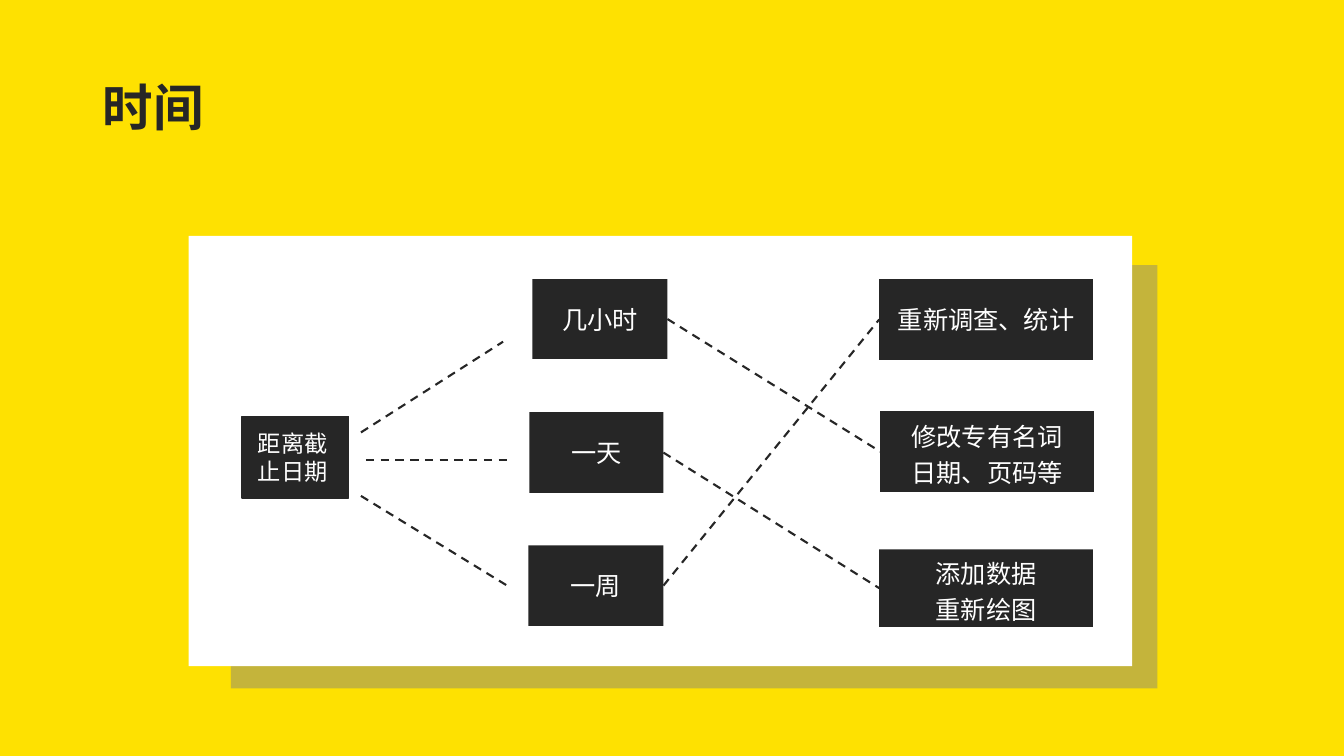
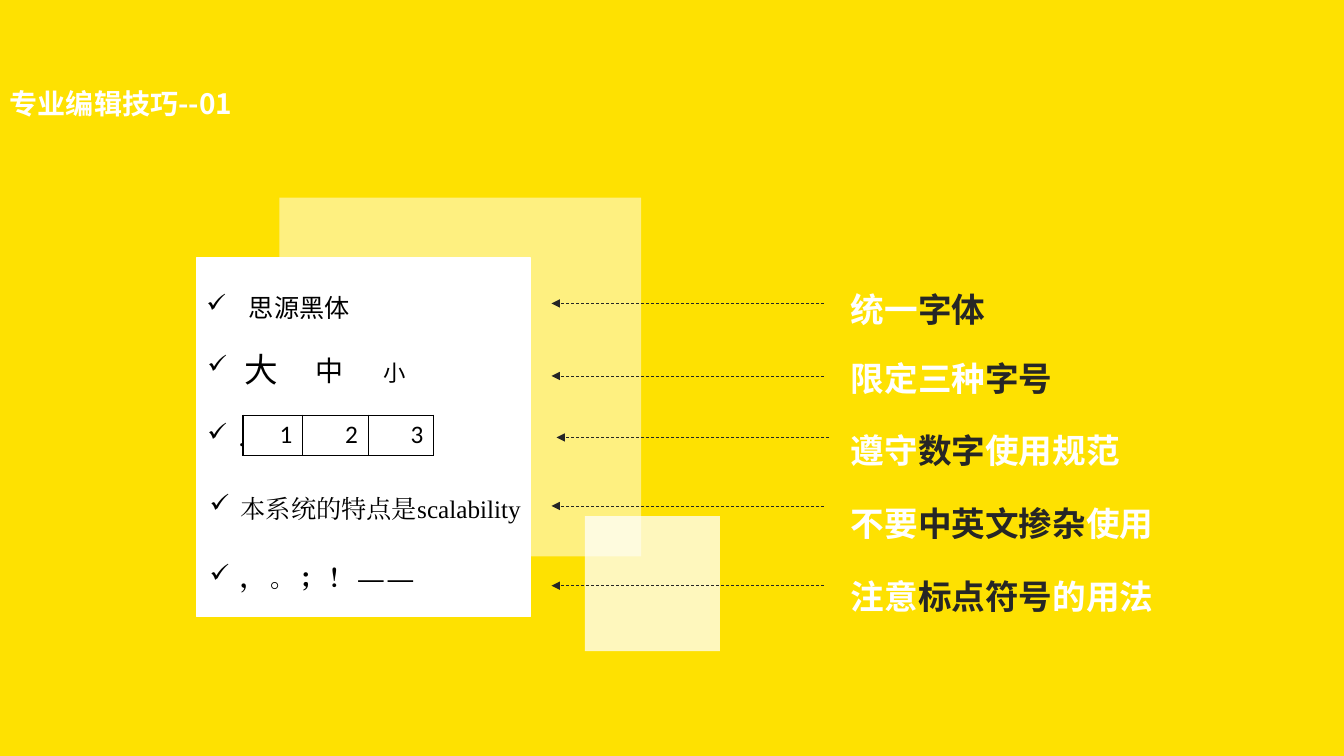
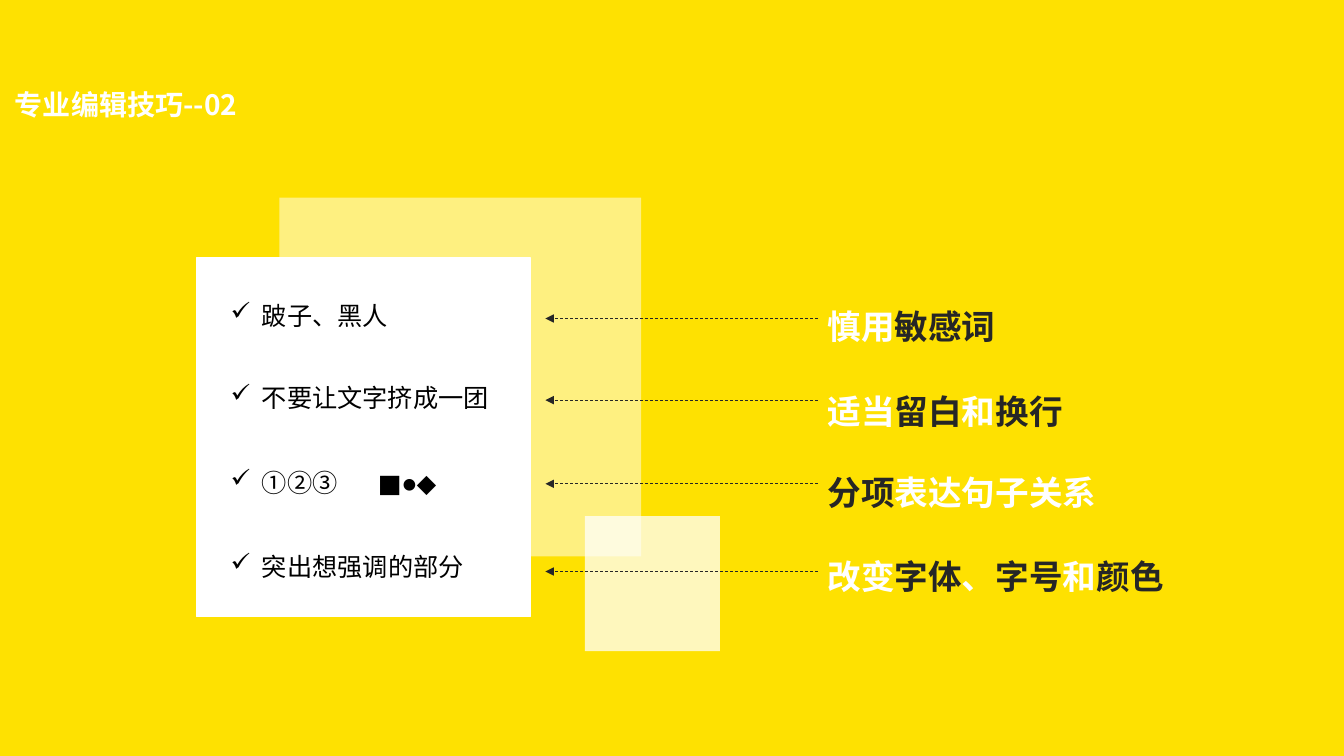
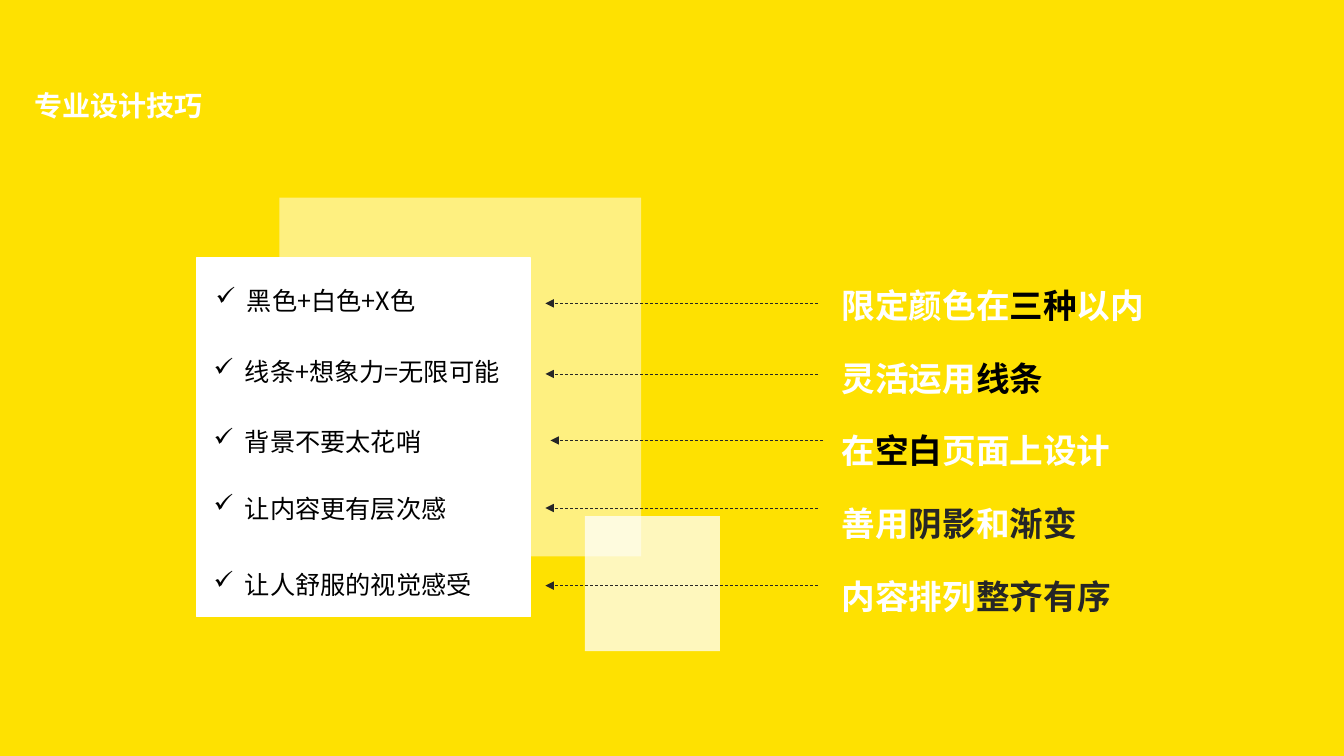
from dataclasses import dataclass
from typing import Any

from lxml import etree
from pptx import Presentation
from pptx import util as u
from pptx.dml.color import RGBColor
from pptx.enum import dml, shapes, text
from pptx.oxml import ns

SCALE = 9144
SANS, LATIN, SERIF = "Noto Sans CJK SC", "Calibri", "Times New Roman"
COLORS = {
    "yellow": "FEE101",
    "white": "FFFFFF",
    "ink": "262626",
    "black": "000000",
    "gray": "808080",
}
LINE_HEIGHT = 1.2
BULLET_SIZE = 18
ARROW_LENGTH = 270
CENTER = text.PP_ALIGN.CENTER
RIGHT = text.PP_ALIGN.RIGHT
MIDDLE = text.MSO_ANCHOR.MIDDLE


@dataclass(frozen=True)
class Box:
    left: int
    top: int
    width: int
    height: int


@dataclass(frozen=True)
class Span:
    text: str
    color: str = "white"


@dataclass(frozen=True)
class Line:
    spans: tuple[Span, ...]
    spacing: float = 1.8


@dataclass(frozen=True)
class Node:
    box: Box
    lines: tuple[str, ...]
    spacing: float = 1.0


@dataclass(frozen=True)
class Item:
    box: Box
    text: str
    size: int = 18
    font: str = SANS
    indent: int = 31
    bullet: bool = True
    bold: bool = False
    tracking: int = 0


@dataclass(frozen=True)
class Arrow:
    left: int
    top: int


@dataclass(frozen=True)
class Tips:
    heading: str
    heading_box: Box
    items: tuple[Item, ...]
    arrows: tuple[Arrow, ...]
    body_box: Box
    lines: tuple[Line, ...]


def px(length: int) -> u.Emu:
    return u.Emu(length * SCALE)


def place(box: Box) -> tuple[u.Emu, ...]:
    return px(box.left), px(box.top), px(box.width), px(box.height)


def rgb(name: str) -> RGBColor:
    return RGBColor.from_string(COLORS[name])


def add_xml(parent: Any, tag: str, **attributes: str) -> Any:
    return etree.SubElement(parent, ns.qn(tag), attributes)


def plain(*lines: str, color: str = "white", spacing: float = 1.0) -> list[Line]:
    return [Line((Span(line, color),), spacing) for line in lines]


def write(frame: Any, lines: Any, *, size: float = 18, font: str = SANS,
          bold: bool = False, align: Any = None, indent: int = 0,
          bullet: bool = False, tracking: int = 0) -> None:
    for number, line in enumerate(lines):
        para = frame.add_paragraph() if number else frame.paragraphs[0]
        if bullet:
            props = para._p.get_or_add_pPr()
            props.set("marL", str(px(indent)))
            props.set("indent", str(px(-indent)))
            percent = round(BULLET_SIZE / size * 100000)
            add_xml(props, "a:buSzPct", val=str(percent))
            add_xml(props, "a:buChar", char="✓")
        para.alignment = align
        para.line_spacing = u.Pt(size * LINE_HEIGHT * line.spacing)
        for piece in line.spans:
            span = para.add_run()
            span.text = piece.text
            span.font.size = u.Pt(size)
            span.font.bold = bold
            span.font.color.rgb = rgb(piece.color)
            span.font.name = font
            props = span._r.get_or_add_rPr()
            add_xml(props, "a:ea", typeface=font)
            if tracking:
                props.set("spc", str(tracking * 100))


def add_text(page: Any, box: Box, lines: Any, anchor: Any = None, **style: Any) -> None:
    frame = page.shapes.add_textbox(*place(box)).text_frame
    frame.word_wrap = True
    frame.vertical_anchor = anchor
    write(frame, lines, **style)


def add_panel(page: Any, box: Box, color: str, *, opacity: int = 100,
              outline: bool = False) -> Any:
    panel = page.shapes.add_shape(shapes.MSO_SHAPE.RECTANGLE, *place(box))
    panel.shadow.inherit = False
    panel.fill.solid()
    panel.fill.fore_color.rgb = rgb(color)
    if opacity < 100:
        tint = panel._element.spPr.find(ns.qn("a:solidFill"))[0]
        add_xml(tint, "a:alpha", val=str(opacity * 1000))
    if outline:
        panel.line.color.rgb = rgb(color)
        panel.line.width = u.Pt(1)
    else:
        panel.line.fill.background()
    return panel


def add_dash(page: Any, start: tuple[int, int], end: tuple[int, int], *,
             weight: float = 1.5, arrow: bool = False) -> Any:
    dash = page.shapes.add_connector(
        shapes.MSO_CONNECTOR.STRAIGHT, *map(px, start + end))
    dash.line.color.rgb = rgb("ink")
    dash.line.width = u.Pt(weight)
    dash.line.dash_style = dml.MSO_LINE.DASH
    if arrow:
        add_xml(dash.line._get_or_add_ln(), "a:tailEnd", type="triangle")
    add_xml(dash._element.spPr, "a:effectLst")
    return dash


def add_node(page: Any, node: Node) -> Any:
    panel = add_panel(page, node.box, "ink")
    frame = panel.text_frame
    frame.word_wrap = True
    frame.vertical_anchor = MIDDLE
    write(frame, plain(*node.lines, spacing=node.spacing), align=CENTER)
    return panel


def add_page(deck: Any) -> Any:
    return deck.slides.add_slide(deck.slide_layouts[6])


def add_time_page(deck: Any) -> None:
    page = add_page(deck)
    add_panel(page, Box(229, 263, 919, 420), "gray", opacity=46)
    add_panel(page, Box(187, 234, 936, 427), "white")
    hours, day, week = [add_node(page, node) for node in (
        Node(Box(528, 277, 134, 79), ("几小时",)),
        Node(Box(525, 409, 133, 80), ("一天",)),
        Node(Box(524, 541, 134, 80), ("一周",)),
    )]
    survey, edit, redraw = [add_node(page, node) for node in (
        Node(Box(872, 277, 212, 80), ("重新调查、统计",)),
        Node(Box(873, 408, 212, 80), ("修改专有名词", "日期、页码等"), 1.2),
        Node(Box(872, 545, 212, 77), ("添加数据", "重新绘图"), 1.2),
    )]
    for source, target in ((week, survey), (day, redraw), (hours, edit)):
        dash = add_dash(page, (658, 449), (872, 449))
        dash.begin_connect(source, 3)
        dash.end_connect(target, 1)
    add_panel(page, Box(240, 413, 106, 81), "ink", outline=True)
    add_text(page, Box(246, 421, 176, 72), plain("距离截", "止日期"),
             size=16.6, font=LATIN)
    for start, end in (((358, 429), (499, 339)),
                       ((363, 456), (503, 456)),
                       ((358, 492), (503, 581))):
        add_dash(page, start, end)
    add_text(page, Box(87, 71, 130, 71), plain("时间", color="ink"),
             size=36, bold=True, align=CENTER)


def add_tips_page(deck: Any, tips: Tips) -> Any:
    page = add_page(deck)
    add_panel(page, Box(277, 196, 359, 356), "white", opacity=50)
    add_panel(page, Box(195, 256, 331, 356), "white", outline=True)
    add_panel(page, Box(580, 512, 134, 134), "white", opacity=74)
    add_text(page, tips.heading_box, plain(tips.heading, spacing=0.9),
             anchor=MIDDLE, size=20, bold=True)
    add_text(page, tips.body_box, tips.lines, size=24, bold=True)
    for item in tips.items:
        add_text(page, item.box, plain(item.text, color="black"),
                 size=item.size, font=item.font, bold=item.bold,
                 indent=item.indent, bullet=item.bullet,
                 tracking=item.tracking)
    for arrow in tips.arrows:
        add_dash(page, (arrow.left + ARROW_LENGTH, arrow.top),
                 (arrow.left, arrow.top), weight=0.5, arrow=True)
    return page


def add_number_table(page: Any) -> None:
    widths = (59, 65, 65)
    frame = page.shapes.add_table(
        1, len(widths), *place(Box(241, 412, sum(widths), 38)))
    table = frame.table
    table.first_row = False
    table.horz_banding = False
    last = len(widths) - 1
    for number, width in enumerate(widths):
        table.columns[number].width = px(width)
        cell = table.cell(0, number)
        write(cell.text_frame, plain(str(number + 1), color="black"),
              font=LATIN, align=RIGHT)
        props = cell._tc.get_or_add_tcPr()
        weights = {
            "a:lnL": 0.75 if number else 1,
            "a:lnR": 1 if number == last else 0.75,
            "a:lnT": 1,
            "a:lnB": 0.75,
        }
        for tag, weight in weights.items():
            border = add_xml(props, tag, w=str(u.Pt(weight)))
            fill = add_xml(border, "a:solidFill")
            add_xml(fill, "a:srgbClr", val=COLORS["black"])
        cell.fill.background()


def ink(words: str) -> Span:
    return Span(words, "ink")


def black(words: str) -> Span:
    return Span(words, "black")


EDITING_ONE = Tips(
    "专业编辑技巧--01",
    Box(0, 75, 260, 58),
    (
        Item(Box(195, 285, 240, 40), "思源黑体", indent=42),
        Item(Box(196, 341, 100, 50), "大", size=24, indent=37),
        Item(Box(303, 346, 60, 45), "中", size=20, bullet=False),
        Item(Box(371, 351, 60, 40), "小", size=16, bullet=False),
        Item(Box(196, 413, 134, 40), ".", font=LATIN),
        Item(Box(198, 484, 360, 40), "本系统的特点是scalability", font=SERIF),
        Item(Box(198, 553, 300, 40), "，。；！——", font=SERIF, bold=True,
             tracking=3),
    ),
    (Arrow(547, 301), Arrow(547, 373), Arrow(552, 434), Arrow(547, 502),
     Arrow(547, 581)),
    Box(834, 254, 369, 394),
    (
        Line((Span("统一"), ink("字体")), 1.7),
        Line((Span("限定三种"), ink("字号")), 1.7),
        Line((Span("遵守"), ink("数字"), Span("使用规范"))),
        Line((Span("不要"), ink("中英文掺杂"), Span("使用"))),
        Line((Span("注意"), ink("标点符号"), Span("的用法"))),
    ),
)

EDITING_TWO = Tips(
    "专业编辑技巧--02",
    Box(5, 76, 273, 58),
    (
        Item(Box(219, 293, 297, 40), "跛子、黑人"),
        Item(Box(219, 374, 297, 40), "不要让文字挤成一团"),
        Item(Box(219, 459, 140, 40), "①②③"),
        Item(Box(365, 459, 120, 40), "■●◆", font=LATIN, bullet=False),
        Item(Box(219, 542, 288, 40), "突出想强调的部分"),
    ),
    (Arrow(541, 316), Arrow(541, 397), Arrow(541, 480), Arrow(541, 567)),
    Box(811, 255, 377, 394),
    (
        Line((Span("慎用"), ink("敏感词")), 2.1),
        Line((Span("适当"), ink("留白"), Span("和"), ink("换行")), 2.1),
        Line((ink("分项"), Span("表达句子关系")), 2.0),
        Line((Span("改变"), ink("字体"), Span("、"), ink("字号"), Span("和"),
              ink("颜色")), 2.1),
    ),
)

DESIGN = Tips(
    "专业设计技巧",
    Box(24, 79, 248, 54),
    (
        Item(Box(204, 278, 291, 40), "黑色+白色+X色"),
        Item(Box(202, 349, 327, 40), "线条+想象力=无限可能"),
        Item(Box(202, 418, 279, 40), "背景不要太花哨"),
        Item(Box(202, 484, 331, 40), "让内容更有层次感"),
        Item(Box(202, 560, 313, 40), "让人舒服的视觉感受"),
    ),
    (Arrow(541, 301), Arrow(541, 371), Arrow(546, 437), Arrow(541, 504),
     Arrow(541, 581)),
    Box(825, 246, 382, 394),
    (
        Line((Span("限定颜色在"), black("三种"), Span("以内"))),
        Line((Span("灵活运用"), black("线条"))),
        Line((Span("在"), black("空白"), Span("页面上设计"))),
        Line((Span("善用"), ink("阴影"), Span("和"), ink("渐变"))),
        Line((Span("内容排列"), ink("整齐有序"))),
    ),
)


def main() -> None:
    deck = Presentation()
    deck.slide_width, deck.slide_height = px(1333), px(750)
    backdrop = deck.slide_master.background.fill
    backdrop.solid()
    backdrop.fore_color.rgb = rgb("yellow")
    add_time_page(deck)
    add_number_table(add_tips_page(deck, EDITING_ONE))
    add_tips_page(deck, EDITING_TWO)
    add_tips_page(deck, DESIGN)
    deck.save("out.pptx")


if __name__ == "__main__":
    main()
